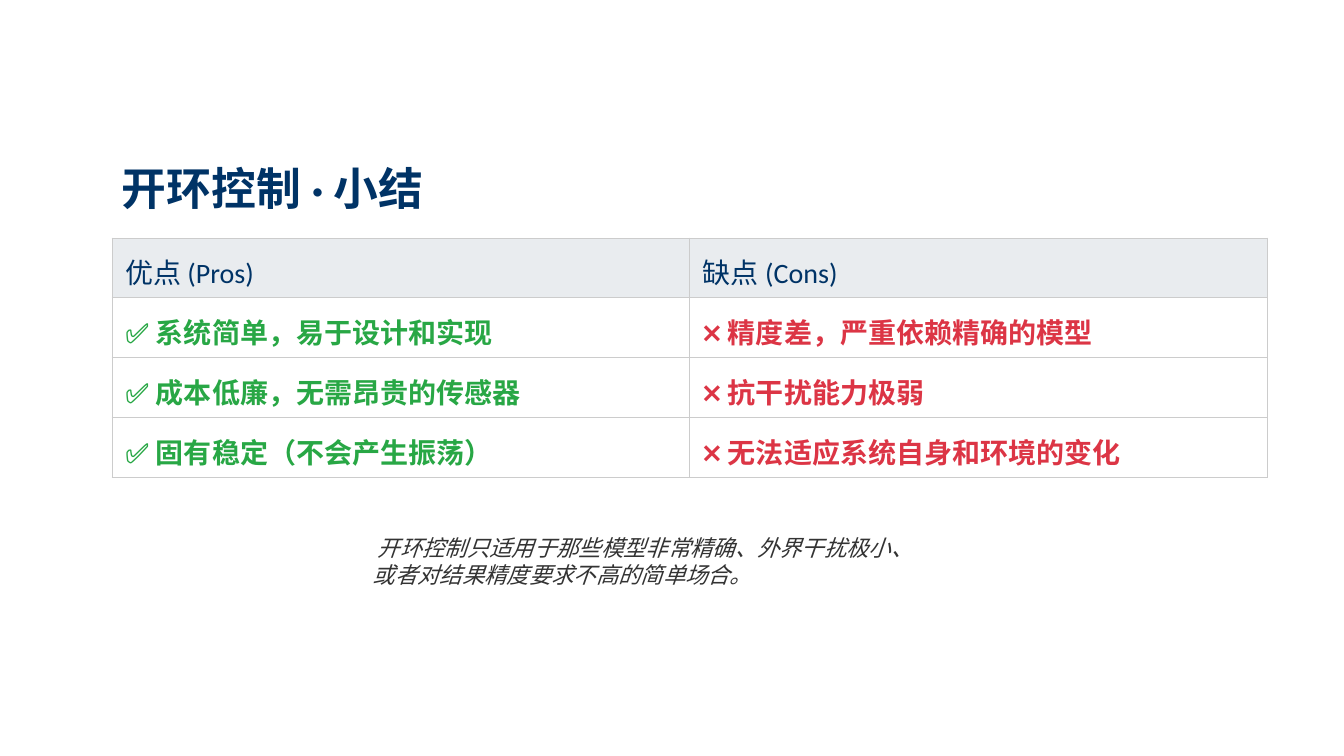
"""Build the slide that sums up the pros and cons of open-loop control."""
from lxml import etree
from pptx import Presentation
from pptx.dml.color import RGBColor
from pptx.enum.text import MSO_ANCHOR, MSO_AUTO_SIZE, PP_ALIGN
from pptx.oxml.ns import qn
from pptx.util import Inches, Pt

TOP = MSO_ANCHOR.TOP
GROW = MSO_AUTO_SIZE.SHAPE_TO_FIT_TEXT
LEFT = PP_ALIGN.LEFT
TITLE_ONLY = 5

THEME = {
    "font": "Calibri",
    "navy": "003366", "green": "28A745", "red": "DC3545",
    "text": "333333", "header": "E9ECEF", "border": "CCCCCC",
    "title_size": 32, "table_size": 20, "note_size": 16, "border_width": 0.6,
}
ROWS = [
    ("优点 (Pros)", "缺点 (Cons)"),
    ("✅ 系统简单，易于设计和实现", "❌ 精度差，严重依赖精确的模型"),
    ("✅ 成本低廉，无需昂贵的传感器", "❌ 抗干扰能力极弱"),
    ("✅ 固有稳定（不会产生振荡）", "❌ 无法适应系统自身和环境的变化"),
]


def write(frame, text, size, color, bold=False, italic=False):
    """Fill a text frame with one formatted paragraph and return it."""
    frame.word_wrap = True
    frame.vertical_anchor = TOP
    para = frame.paragraphs[0]
    para.alignment = LEFT
    span = para.add_run()
    span.text = text
    formats = {"name": THEME["font"], "size": Pt(THEME[size]),
               "bold": bold, "italic": italic}
    for name, value in formats.items():
        setattr(span.font, name, value)
    span.font.color.rgb = RGBColor.from_string(THEME[color])
    return para


def add_borders(cell):
    """Draw a thin line on all four sides of a table cell."""
    properties = cell._tc.get_or_add_tcPr()
    for side in ("a:lnL", "a:lnR", "a:lnT", "a:lnB"):
        line = etree.SubElement(properties, qn(side),
                                w=str(Pt(THEME["border_width"])))
        fill = etree.SubElement(line, qn("a:solidFill"))
        etree.SubElement(fill, qn("a:srgbClr"), val=THEME["border"])


deck = Presentation()
deck.slide_width, deck.slide_height = Inches(13.33), Inches(7.5)
page = deck.slides.add_slide(deck.slide_layouts[TITLE_ONLY])

title = page.shapes.title
title_place = {"left": 1.11, "top": 1.54, "width": 5.56, "height": 0.64}
for name, value in title_place.items():
    setattr(title, name, Inches(value))
write(title.text_frame, "开环控制 · 小结", "title_size", "navy", bold=True)
title.text_frame.auto_size = GROW

table = page.shapes.add_table(
    len(ROWS), 2, Inches(1.11), Inches(2.36), Inches(11.46), Inches(2.32)).table
table.first_row = table.horz_banding = False
for row_index, row in enumerate(ROWS):
    for column_index, text in enumerate(row):
        is_header = row_index == 0
        cell = table.cell(row_index, column_index)
        for side in ("left", "right", "top", "bottom"):
            setattr(cell, f"margin_{side}", Inches(0.13))
        add_borders(cell)
        if is_header:
            cell.fill.solid()
            cell.fill.fore_color.rgb = RGBColor.from_string(THEME["header"])
        else:
            cell.fill.background()
        color = "navy" if is_header else ("green", "red")[column_index]
        write(cell.text_frame, text, "table_size", color, bold=not is_header)

note = page.shapes.add_textbox(
    Inches(3.6), Inches(5.25), Inches(5.56), Inches(0.64))
note_para = write(
    note.text_frame,
    "开环控制只适用于那些模型非常精确、外界干扰极小、或者对结果精度要求不高的简单场合。",
    "note_size", "text", italic=True)
note_para._p.get_or_add_pPr().set("indent", str(Inches(0.05)))
note.text_frame.auto_size = GROW

deck.save("out.pptx")
